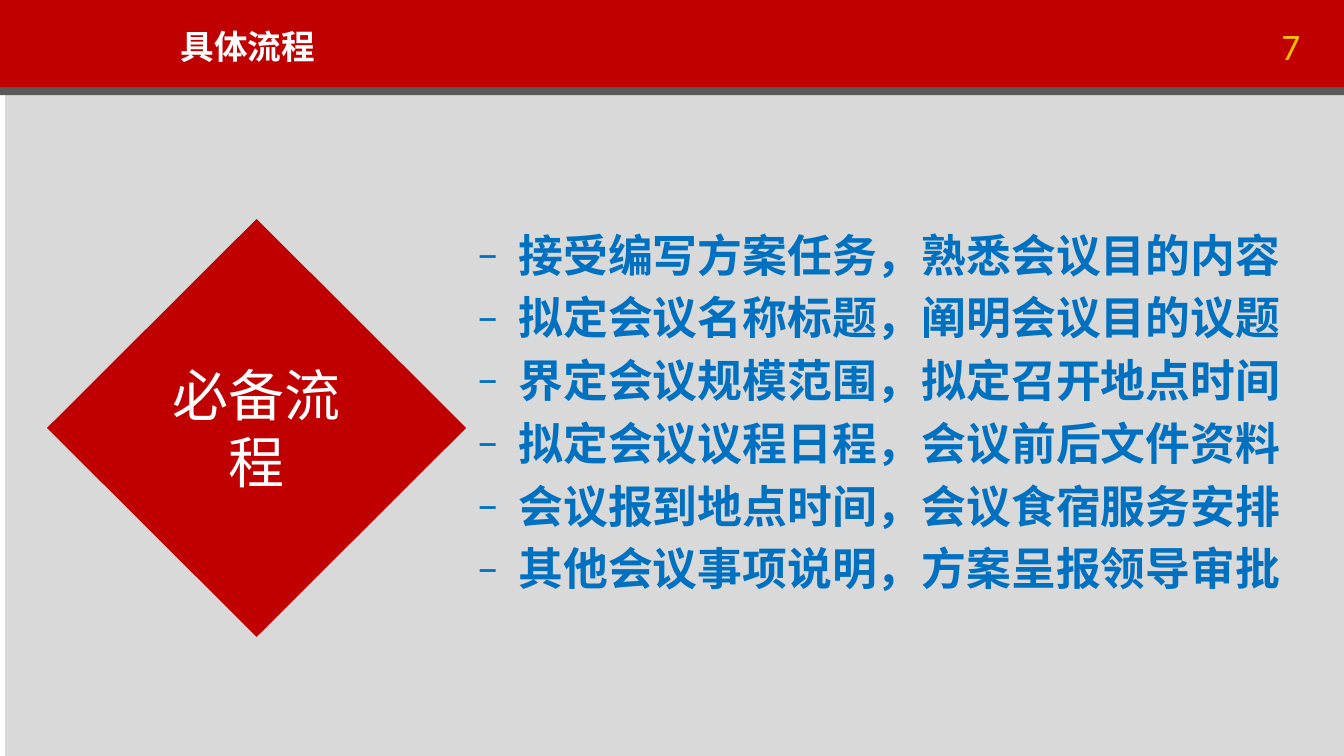
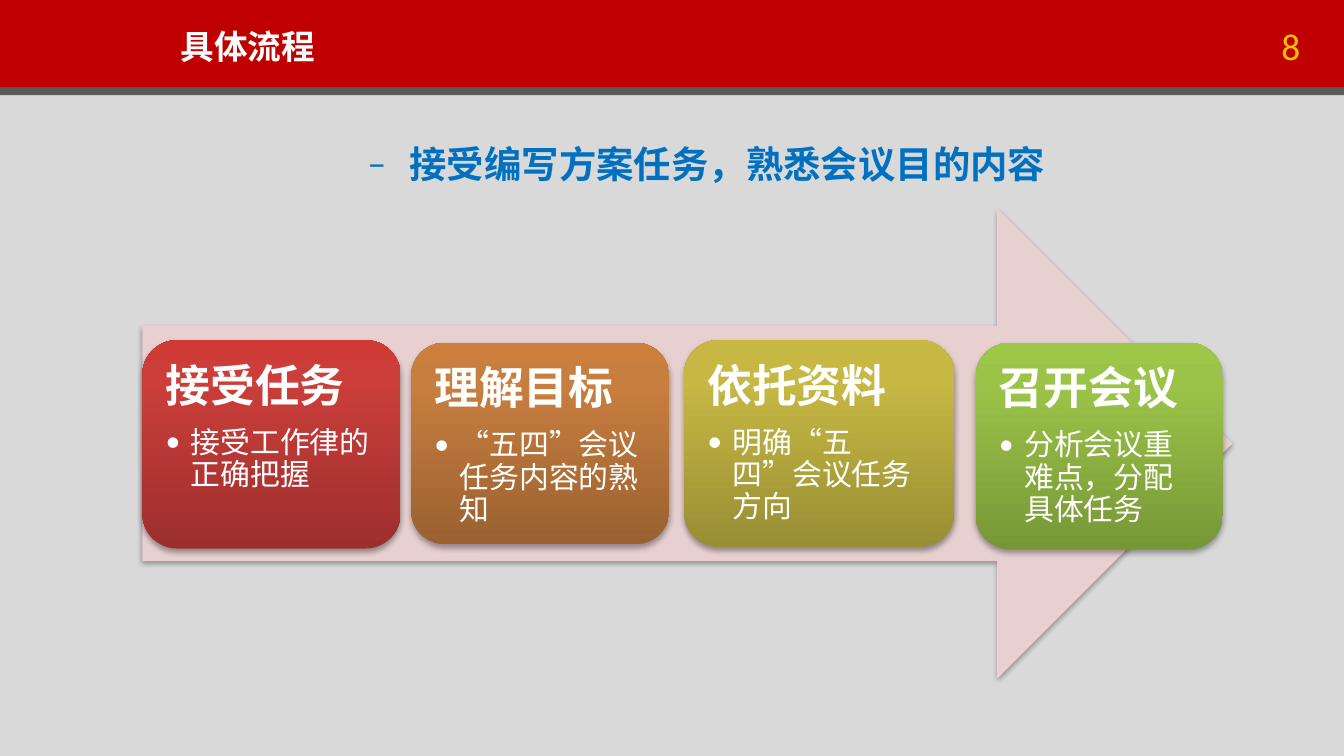
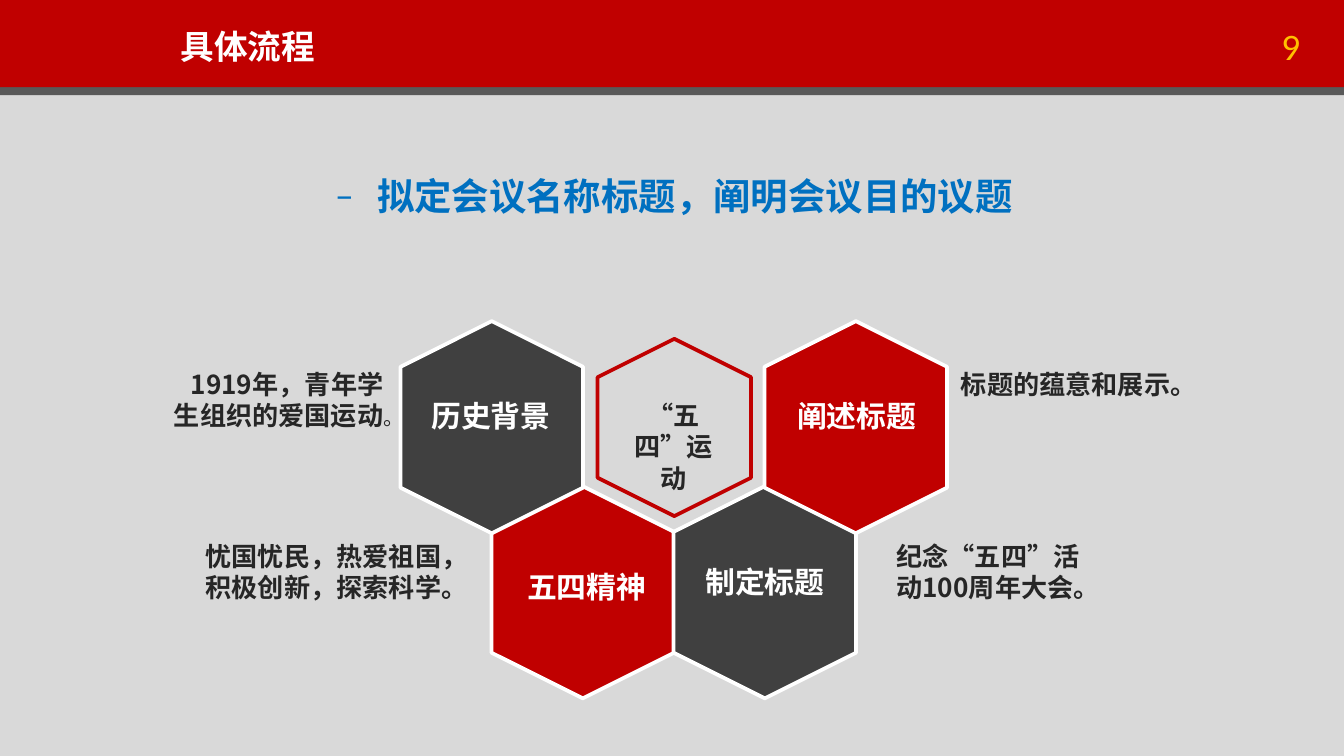
from copy import deepcopy
from dataclasses import dataclass, replace
from typing import Optional

from lxml import etree
from pptx import Presentation
from pptx.dml.color import RGBColor
from pptx.enum.shapes import MSO_SHAPE
from pptx.enum.text import MSO_ANCHOR, MSO_AUTO_SIZE, PP_ALIGN
from pptx.oxml.ns import qn
from pptx.util import Cm, Pt

RECT, ROUNDED = MSO_SHAPE.RECTANGLE, MSO_SHAPE.ROUNDED_RECTANGLE
DIAMOND, HEXAGON, ARROW = MSO_SHAPE.DIAMOND, MSO_SHAPE.HEXAGON, MSO_SHAPE.RIGHT_ARROW
LEFT, CENTER, RIGHT = PP_ALIGN.LEFT, PP_ALIGN.CENTER, PP_ALIGN.RIGHT
TOP, MIDDLE = MSO_ANCHOR.TOP, MSO_ANCHOR.MIDDLE
NO_FIT = MSO_AUTO_SIZE.NONE

RED = RGBColor(0xC0, 0x00, 0x00)
PAPER = RGBColor(0xD9, 0xD9, 0xD9)
STRIPE = RGBColor(0x59, 0x59, 0x59)
CHARCOAL = RGBColor(0x40, 0x40, 0x40)
INK = RGBColor(0x26, 0x26, 0x26)
BLUE = RGBColor(0x00, 0x70, 0xC0)
GOLD = RGBColor(0xFF, 0xC0, 0x00)
PINK = RGBColor(0xE8, 0xD0, 0xD0)
WHITE = RGBColor(0xFF, 0xFF, 0xFF)

HAN, LATIN = "Noto Sans CJK SC", "Calibri"
SLIDE_W, SLIDE_H = 25.4, 14.29


@dataclass(frozen=True)
class Box:
    """Place and size in centimetres."""
    left: float
    top: float
    width: float
    height: float

    def lengths(self) -> tuple:
        return Cm(self.left), Cm(self.top), Cm(self.width), Cm(self.height)

    def inset(self, gap: float) -> "Box":
        return Box(self.left + gap, self.top + gap,
                   self.width - 2 * gap, self.height - 2 * gap)


@dataclass(frozen=True)
class Style:
    size: float
    color: RGBColor
    bold: bool = True
    name: str = HAN
    align: PP_ALIGN = LEFT
    bullet: str = ""
    margin: float = 0
    hanging: float = 0
    outlined: bool = False
    before: float = 0
    after: float = 0
    line: Optional[float] = None


@dataclass(frozen=True)
class Card:
    box: Box
    heading: str
    detail: str
    stops: tuple


@dataclass(frozen=True)
class Cell:
    column: int
    top: float
    fill: RGBColor
    label: str
    label_box: Box


@dataclass(frozen=True)
class Note:
    box: Box
    lines: tuple
    align: PP_ALIGN
    ending: str = ""


TITLE = Style(18, WHITE, align=CENTER)
NUMBER = Style(20, GOLD, bold=False, name=LATIN, align=CENTER)
DIAMOND_TEXT = Style(30, WHITE, bold=False, align=CENTER)
STEP = Style(24, BLUE, bullet="–", margin=2.06, hanging=0.79, outlined=True, before=4.8)
TOPIC = replace(STEP, size=20, align=CENTER)
CARD_HEADING = Style(24, WHITE, name=LATIN, after=8.4, line=0.9)
CARD_DETAIL = Style(16, WHITE, bold=False, name=LATIN, bullet="•",
                    margin=0.48, hanging=0.48, after=2.4, line=0.9)
CELL_LABEL = Style(16, WHITE, align=CENTER)
NOTE = Style(14, INK)
NOTE_ENDING = replace(NOTE, size=11, bold=False)

# Content
STEPS = (
    "接受编写方案任务，熟悉会议目的内容",
    "拟定会议名称标题，阐明会议目的议题",
    "界定会议规模范围，拟定召开地点时间",
    "拟定会议议程日程，会议前后文件资料",
    "会议报到地点时间，会议食宿服务安排",
    "其他会议事项说明，方案呈报领导审批",
)
CARDS = (
    Card(Box(2.69, 6.43, 4.88, 3.94), "接受任务", "接受工作律的正确把握",
         ("9C2F2D", "CB3E3A", "CE3B37")),
    Card(Box(7.77, 6.48, 4.88, 3.81), "理解目标", "“五四”会议任务内容的熟知",
         ("9A6130", "C87E3F", "CC7E3C")),
    Card(Box(12.93, 6.43, 5.11, 3.91), "依托资料", "明确“五四”会议任务方向",
         ("988E34", "C6B843", "C9BB41")),
    Card(Box(18.44, 6.48, 4.67, 3.91), "召开会议", "分析会议重难点，分配具体任务",
         ("779737", "9BC348", "9DC746")),
)
UPPER, LOWER = 6.35, 9.47
CELLS = (
    Cell(1, LOWER, RED, "五四精神", Box(9.63, 10.62, 2.92, 1.63)),
    Cell(3, LOWER, CHARCOAL, "制定标题", Box(13, 10.52, 2.92, 1.63)),
    Cell(4, UPPER, RED, "阐述标题", Box(14.73, 7.39, 2.92, 1.63)),
    Cell(0, UPPER, CHARCOAL, "历史背景", Box(7.82, 7.39, 2.92, 1.63)),
)
NOTES = (
    Note(Box(3.15, 10.08, 5.94, 2.79), ("忧国忧民，热爱祖国，", "积极创新，探索科学。"), RIGHT),
    Note(Box(2.9, 6.83, 4.6, 2.79), ("1919年，青年学生组织的爱国运动",), RIGHT, "。"),
    Note(Box(16.69, 10.08, 4.17, 2.79), ("纪念“五四”活动100周年大会。",), LEFT),
    Note(Box(17.91, 6.83, 5.94, 2.79), ("标题的蕴意和展示。",), LEFT),
)


# Text
def add_run(paragraph, text: str, style: Style) -> None:
    run = paragraph.add_run()
    run.text = text
    for key, value in {"size": Pt(style.size), "bold": style.bold, "name": style.name}.items():
        setattr(run.font, key, value)
    run.font.color.rgb = style.color
    if style.outlined:
        outline = etree.Element(qn("a:ln"), w=str(Pt(0.75)))
        solid = etree.SubElement(outline, qn("a:solidFill"))
        etree.SubElement(solid, qn("a:srgbClr"), val=str(style.color))
        run.font.fill  # the run properties exist from here on
        run._r.get_or_add_rPr().insert(0, outline)


def set_bullet(paragraph, style: Style) -> None:
    paragraph.level = 1
    props = paragraph._p.get_or_add_pPr()
    props.set("marL", str(Cm(style.margin)))
    props.set("indent", str(-Cm(style.hanging)))
    etree.SubElement(props, qn("a:buFont"), typeface=LATIN)
    etree.SubElement(props, qn("a:buChar"), char=style.bullet)


def write(frame, items: list, anchor=TOP, wrap: bool = True,
          margins: tuple = (0.25, 0.13)) -> None:
    """Fill a text frame with (text, style) paragraphs."""
    side, edge = (Cm(margin) for margin in margins)
    layout = {"auto_size": NO_FIT, "word_wrap": wrap, "vertical_anchor": anchor,
              "margin_left": side, "margin_right": side,
              "margin_top": edge, "margin_bottom": edge}
    for key, value in layout.items():
        setattr(frame, key, value)
    for index, (text, style) in enumerate(items):
        paragraph = frame.add_paragraph() if index else frame.paragraphs[0]
        if style.bullet:
            set_bullet(paragraph, style)
        spacing = {"alignment": style.align, "line_spacing": style.line,
                   "space_before": Pt(style.before if index else 0),
                   "space_after": Pt(style.after)}
        for key, value in spacing.items():
            setattr(paragraph, key, value)
        add_run(paragraph, text, style)


def add_text(slide, box: Box, items: list, **layout):
    frame = slide.shapes.add_textbox(*box.lengths()).text_frame
    write(frame, items, **layout)
    return frame


# Shapes
def add_block(slide, kind, box: Box, fill: Optional[RGBColor] = None,
              line: Optional[RGBColor] = None, rotation: float = 0):
    block = slide.shapes.add_shape(kind, *box.lengths())
    block.shadow.inherit = False
    block.rotation = rotation
    if fill is None:
        block.fill.background()
    else:
        block.fill.solid()
        block.fill.fore_color.rgb = fill
    if line is None:
        block.line.fill.background()
    else:
        block.line.color.rgb = line
        block.line.width = Pt(2)
    return block


def add_shadow(block) -> None:
    effects = block.element.spPr.find(qn("a:effectLst"))
    shadow = etree.SubElement(effects, qn("a:outerShdw"), blurRad=str(Pt(3.1)),
                              dist=str(Pt(1.8)), dir="5400000", rotWithShape="0")
    black = etree.SubElement(shadow, qn("a:srgbClr"), val="000000")
    etree.SubElement(black, qn("a:alpha"), val="35000")


def set_gradient(block, colors: tuple) -> None:
    block.fill.gradient()
    block.fill.gradient_angle = 90
    stop_list = block.element.spPr.find(".//" + qn("a:gsLst"))
    stop_list.insert(1, deepcopy(stop_list[0]))
    for stop, position, color in zip(block.fill.gradient_stops, (0, 0.8, 1), colors):
        stop.position = position
        stop.color.rgb = RGBColor.from_string(color)


# Frame shared by all slides
def add_page(deck, number: int, paper_left: float = 0):
    slide = deck.slides.add_slide(deck.slide_layouts[5])
    add_block(slide, RECT, Box(paper_left, 0, SLIDE_W, SLIDE_H), PAPER)
    for top, height, fill in ((0, 1.6, RED), (1.65, 0.15, STRIPE), (0.05, 1.6, RED)):
        add_block(slide, RECT, Box(0, top, SLIDE_W, height), fill)
    title = slide.shapes.title
    title.left, title.top, title.width, title.height = Box(3.15, 0.36, 3.07, 1.02).lengths()
    write(title.text_frame, [("具体流程", TITLE)], wrap=False)
    title.element.getparent().append(title.element)  # in front of the bands
    add_text(slide, Box(23.95, 0.48, 0.89, 0.76), [(str(number), NUMBER)],
             anchor=MIDDLE, wrap=False, margins=(0, 0))
    return slide


def build_overview(deck) -> None:
    slide = add_page(deck, 7, paper_left=0.1)
    diamond = add_block(slide, DIAMOND, Box(0.89, 4.14, 7.92, 7.9), RED)
    write(diamond.text_frame, [("必备流程", DIAMOND_TEXT)], anchor=MIDDLE, margins=(0.23, 0.13))
    add_text(slide, Box(7.49, 4.17, 17.35, 7.44), [(step, STEP) for step in STEPS])


def build_task(deck) -> None:
    slide = add_page(deck, 8)
    add_shadow(add_block(slide, ARROW, Box(2.69, 3.94, 20.6, 8.89), PINK))
    for card in CARDS:
        panel = add_block(slide, ROUNDED, card.box, WHITE)
        set_gradient(panel, card.stops)
        add_shadow(panel)
        add_text(slide, card.box.inset(0.19),
                 [(card.heading, CARD_HEADING), (card.detail, CARD_DETAIL)],
                 margins=(0.25, 0.25))
    add_text(slide, Box(3.12, 2.54, 19.2, 1.12), [(STEPS[0], TOPIC)])


def build_naming(deck) -> None:
    slide = add_page(deck, 9)
    add_block(slide, HEXAGON, Box(11.07, 6.63, 3.35, 2.9), line=RED, rotation=270)
    for note in NOTES:
        style = replace(NOTE, align=note.align)
        frame = add_text(slide, note.box, [(line, style) for line in note.lines])
        if note.ending:
            add_run(frame.paragraphs[-1], note.ending, NOTE_ENDING)
    # Honeycomb: columns lie half a cell apart
    for cell in CELLS:
        add_block(slide, HEXAGON, Box(7.29 + 1.72 * cell.column, cell.top, 4.01, 3.45),
                  cell.fill, WHITE, rotation=270)
        add_text(slide, cell.label_box, [(cell.label, CELL_LABEL)])
    add_text(slide, Box(11.58, 7.42, 2.31, 1.45),
             [("“五四”运动", replace(NOTE, align=CENTER))])
    add_text(slide, Box(2.11, 3.15, 19.99, 1.12), [(STEPS[1], TOPIC)])


def main() -> None:
    deck = Presentation()
    deck.slide_width, deck.slide_height = Cm(SLIDE_W), Cm(SLIDE_H)
    build_overview(deck)
    build_task(deck)
    build_naming(deck)
    deck.save("out.pptx")


if __name__ == "__main__":
    main()
